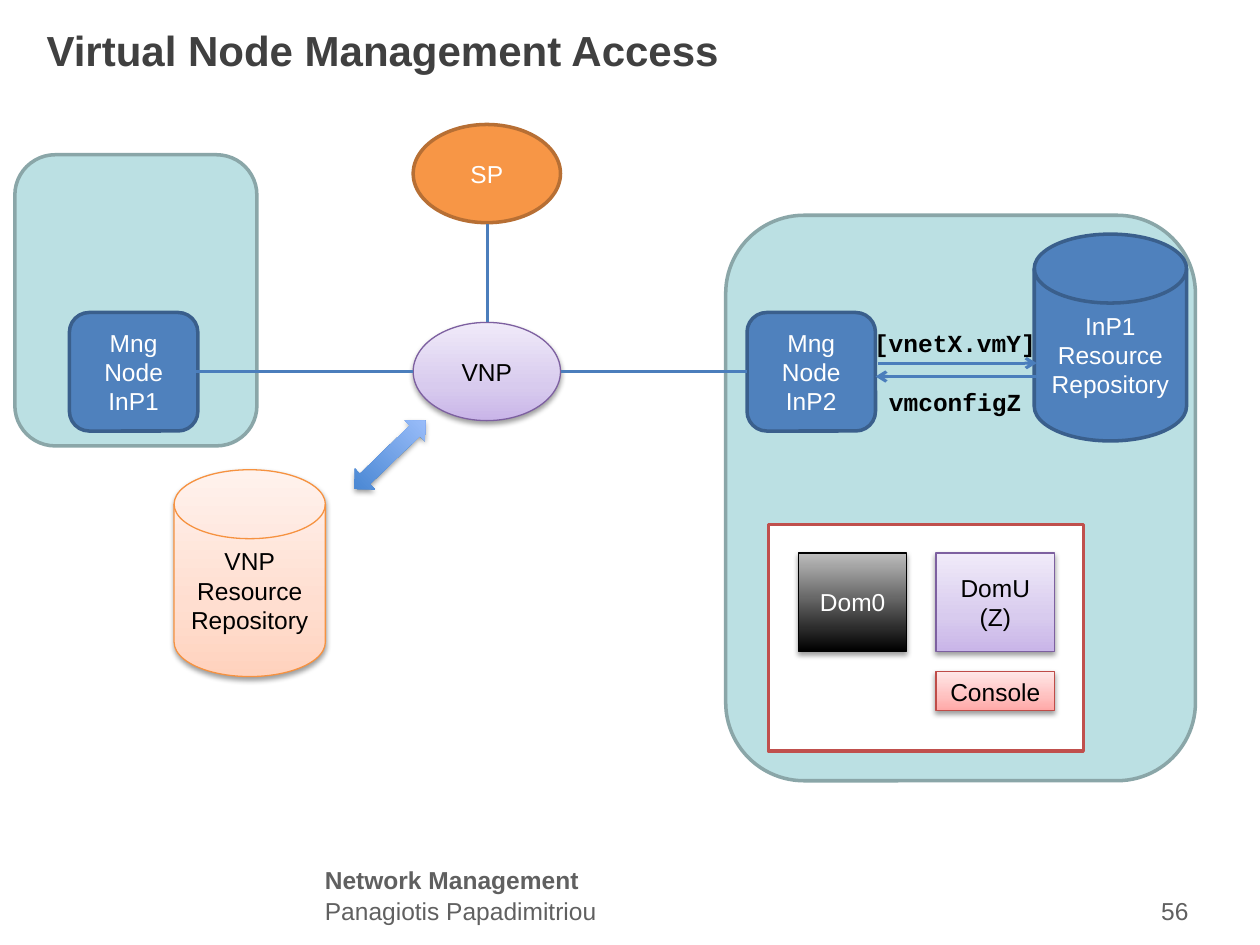
"""Build the Virtual Node Management Access slide."""
from lxml import etree
from pptx import Presentation
from pptx.dml.color import RGBColor
from pptx.enum.shapes import MSO_CONNECTOR, MSO_SHAPE
from pptx.enum.text import MSO_ANCHOR, PP_ALIGN
from pptx.oxml.ns import qn
from pptx.util import Cm, Pt

ROUND, RECT, OVAL = MSO_SHAPE.ROUNDED_RECTANGLE, MSO_SHAPE.RECTANGLE, MSO_SHAPE.OVAL
DISK, UP_DOWN = MSO_SHAPE.FLOWCHART_MAGNETIC_DISK, MSO_SHAPE.UP_DOWN_ARROW
STRAIGHT = MSO_CONNECTOR.STRAIGHT
LEFT, CENTER, RIGHT = PP_ALIGN.LEFT, PP_ALIGN.CENTER, PP_ALIGN.RIGHT
TOP, MIDDLE = MSO_ANCHOR.TOP, MSO_ANCHOR.MIDDLE

BLACK = RGBColor(0x00, 0x00, 0x00)
WHITE = RGBColor(0xFF, 0xFF, 0xFF)
TITLE = RGBColor(0x40, 0x40, 0x40)
GRAY = RGBColor(0x60, 0x60, 0x60)
LINK = RGBColor(0x4B, 0x7E, 0xBC)
TEAL, TEAL_EDGE = RGBColor(0xBB, 0xE0, 0xE3), RGBColor(0x8A, 0xA6, 0xA8)
BLUE, BLUE_EDGE = RGBColor(0x4F, 0x81, 0xBD), RGBColor(0x3A, 0x5F, 0x8C)
ORANGE, ORANGE_EDGE = RGBColor(0xF7, 0x96, 0x46), RGBColor(0xB7, 0x6F, 0x34)
RED = RGBColor(0xC0, 0x50, 0x4D)
PURPLE_EDGE = RGBColor(0x7D, 0x60, 0xA0)
PINK_EDGE = RGBColor(0xBF, 0x4C, 0x48)
PEACH_EDGE = RGBColor(0xF6, 0x92, 0x40)
PURPLE_STOPS = [(0, RGBColor(0xC9, 0xB5, 0xE8)), (35, RGBColor(0xD8, 0xCB, 0xEE)),
                (100, RGBColor(0xF0, 0xEA, 0xF9))]
PINK_STOPS = [(0, RGBColor(0xFF, 0xA6, 0xA5)), (35, RGBColor(0xFF, 0xC0, 0xBF)),
              (100, RGBColor(0xFF, 0xE7, 0xE7))]
PEACH_STOPS = [(0, RGBColor(0xFF, 0xD2, 0xBD)), (35, RGBColor(0xFF, 0xDE, 0xD0)),
               (100, RGBColor(0xFF, 0xF2, 0xED))]
DARK_STOPS = [(0, BLACK), (100, RGBColor(0xBD, 0xBD, 0xBD))]
ARROW_STOPS = [(0, RGBColor(0x3F, 0x80, 0xCE)), (100, RGBColor(0xA4, 0xC4, 0xFF))]

# style: fill colour or gradient stops, edge, edge width, text colour
STYLES = {
    "region": (TEAL, TEAL_EDGE, 2, BLACK),
    "host": (WHITE, RED, 2, BLACK),
    "blue": (BLUE, BLUE_EDGE, 2, WHITE),
    "orange": (ORANGE, ORANGE_EDGE, 2, WHITE),
    "purple": (PURPLE_STOPS, PURPLE_EDGE, 0.75, BLACK),
    "pink": (PINK_STOPS, PINK_EDGE, 0.75, BLACK),
    "peach": (PEACH_STOPS, PEACH_EDGE, 0.75, BLACK),
    "dark": (DARK_STOPS, BLACK, 0.75, WHITE),
    "arrow": (ARROW_STOPS, None, 0, BLACK),
}
SHAPES = [
    (ROUND, "region", (0.3, 3.12, 4.88, 5.87), "", 0),
    (ROUND, "region", (14.63, 4.34, 9.47, 11.4), "", 0),
    (RECT, "host", (15.49, 10.57, 6.35, 4.57), "", 0),
    (OVAL, "purple", (8.33, 6.5, 2.97, 1.98), "VNP", 0),
    (OVAL, "orange", (8.33, 2.51, 2.97, 1.98), "SP", 0),
    (ROUND, "blue", (1.4, 6.3, 2.59, 2.39), "Mng\nNode InP1", 0),
    (ROUND, "blue", (15.06, 6.3, 2.59, 2.39), "Mng\nNode InP2", 0),
    (RECT, "dark", (16.1, 11.15, 2.18, 1.98), "Dom0", 0),
    (RECT, "purple", (18.87, 11.15, 2.39, 1.98), "DomU (Z)", 0),
    (RECT, "pink", (18.87, 13.54, 2.39, 0.79), "Console", 0),
    (DISK, "blue", (20.85, 4.72, 3.07, 4.17), "InP1\nResource Repository", 0),
    (DISK, "peach", (3.51, 9.47, 3.05, 4.17), "VNP\nResource Repository", 0),
    (UP_DOWN, "arrow", (7.57, 8.18, 0.58, 1.98), "", 46),
]
LINKS = [
    ((9.83, 4.52, 9.83, 6.5), False),
    ((8.33, 7.49, 3.96, 7.49), False),
    ((11.3, 7.49, 15.06, 7.49), False),
    ((20.9, 7.59, 17.65, 7.59), True),
    ((17.7, 7.32, 20.9, 7.32), True),
]
TEXTS = [
    ("Virtual Node Management Access", (0.69, 0.2, 22.86, 1.6), "Arial", 24, TITLE, True, LEFT, MIDDLE),
    ("Network Management", (6.3, 17.32, 11.4, 0.84), "Arial", 14, GRAY, True, LEFT, TOP),
    ("Panagiotis Papadimitriou", (6.3, 17.93, 11.4, 0.86), "Arial", 14, GRAY, False, LEFT, TOP),
    ("56", (18.29, 17.93, 5.92, 0.79), "Arial", 14, GRAY, False, RIGHT, TOP),
    ("[vnetX.vmY]", (17.37, 6.48, 4.6, 0.86), "Courier New", 14, BLACK, True, LEFT, TOP),
    ("vmconfigZ", (17.67, 7.67, 4.3, 0.86), "Courier New", 14, BLACK, True, LEFT, TOP),
]


def write(sp, text, font, size, color, bold, align, anchor):
    tf = sp.text_frame
    tf.word_wrap = True
    tf.vertical_anchor = anchor
    tf.text = text
    for p in tf.paragraphs:
        p.alignment = align
        for r in p.runs:
            r.font.name, r.font.size, r.font.bold = font, Pt(size), bold
            r.font.color.rgb = color


def add_color(parent, color):
    return etree.SubElement(parent, qn("a:srgbClr"), val=str(color))


def fill_gradient(sp, stops):
    sp.fill.gradient()
    sp.fill.gradient_angle = 90
    gs_list = sp._element.spPr.find(".//" + qn("a:gsLst"))
    for gs in list(gs_list):
        gs_list.remove(gs)
    for pos, color in stops:
        add_color(etree.SubElement(gs_list, qn("a:gs"), pos=str(pos * 1000)), color)


def add_shadow(sp):
    effects = sp._element.spPr.find(qn("a:effectLst"))
    shadow = etree.SubElement(effects, qn("a:outerShdw"), blurRad=str(Pt(3.1)),
                              dist=str(Pt(1.7)), dir="5400000", rotWithShape="0")
    etree.SubElement(add_color(shadow, BLACK), qn("a:alpha"), val="38000")


def add_node(s, kind, style, box, text, rotation):
    fill, edge, width, color = STYLES[style]
    sp = s.shapes.add_shape(kind, *map(Cm, box))
    sp.rotation = rotation
    sp.shadow.inherit = False
    if isinstance(fill, list):
        fill_gradient(sp, fill)
        add_shadow(sp)
    else:
        sp.fill.solid()
        sp.fill.fore_color.rgb = fill
    if edge is None:
        sp.line.fill.background()
    else:
        sp.line.color.rgb = edge
        sp.line.width = Pt(width)
    if text:
        write(sp, text, "Arial", 14, color, False, CENTER, MIDDLE)


def add_link(s, ends, arrow):
    cx = s.shapes.add_connector(STRAIGHT, *map(Cm, ends))
    cx.line.color.rgb = LINK
    cx.line.width = Pt(1.75)
    if arrow:
        etree.SubElement(cx.line._get_or_add_ln(), qn("a:tailEnd"), type="arrow")
    etree.SubElement(cx._element.spPr, qn("a:effectLst"))


def main():
    prs = Presentation()
    prs.slide_width, prs.slide_height = Cm(25.4), Cm(19.05)
    s = prs.slides.add_slide(prs.slide_layouts[6])
    for shape in SHAPES:
        add_node(s, *shape)
    for link in LINKS:
        add_link(s, *link)
    for text, box, *look in TEXTS:
        write(s.shapes.add_textbox(*map(Cm, box)), text, *look)
    prs.save("out.pptx")


if __name__ == "__main__":
    main()
